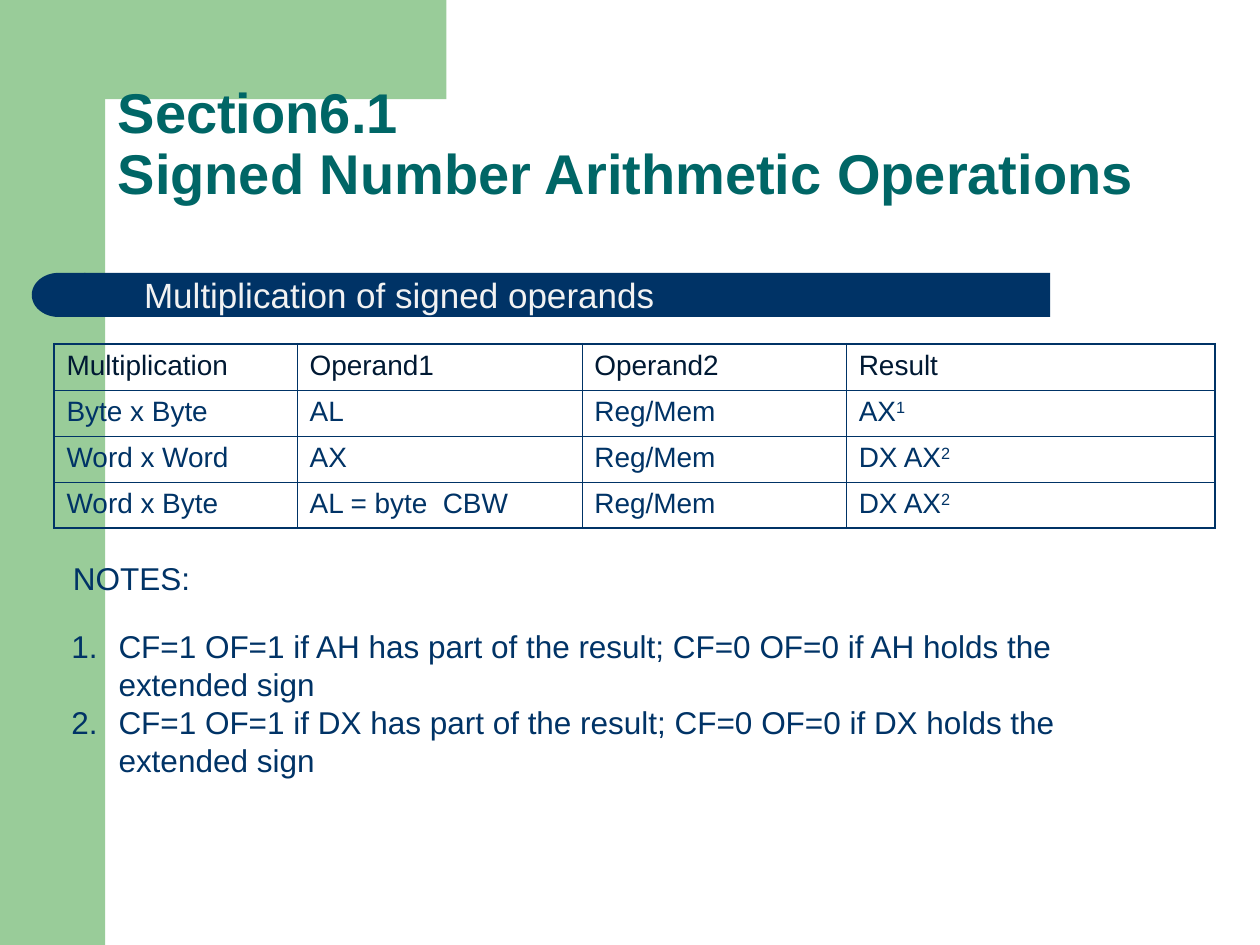
import math
from lxml import etree
from pptx import Presentation
from pptx import util as u
from pptx.dml.color import RGBColor
from pptx.enum import shapes, text
from pptx.oxml.ns import qn

GREEN = RGBColor(0x99, 0xCC, 0x99)
NAVY = RGBColor(0x00, 0x33, 0x66)
DARK_NAVY = RGBColor(0x00, 0x19, 0x33)
TEAL = RGBColor(0x00, 0x66, 0x66)
PALE = RGBColor(0xF2, 0xF2, 0xF2)


def add_run(paragraph, words, size, color, bold=False):
    run = paragraph.add_run()
    run.text = words
    run.font.name = "Arial"
    run.font.size = u.Pt(size)
    run.font.bold = bold
    run.font.color.rgb = color
    return run


def paint(shape, color):
    shape.shadow.inherit = False
    shape.fill.solid()
    shape.fill.fore_color.rgb = color
    shape.line.fill.background()


presentation = Presentation()
presentation.slide_width = u.Cm(25.4)
presentation.slide_height = u.Cm(19.05)
slide = presentation.slides.add_slide(presentation.slide_layouts[1])

side_band = slide.shapes.add_shape(
    shapes.MSO_SHAPE.RECTANGLE, 0, 0, u.Cm(2.12), presentation.slide_height)
paint(side_band, GREEN)

radius = 0.84
curve = [(2.96 - radius * math.sin(angle), 2.96 - radius * math.cos(angle))
         for angle in (math.radians(step) for step in range(0, 91, 6))]
builder = slide.shapes.build_freeform(8.89, 0, scale=u.Cm(1))
builder.add_line_segments(
    [(8.89, 2.12)] + curve + [(2.12, 3.25), (1.27, 3.25), (1.27, 0)], close=True)
paint(builder.convert_to_shape(), GREEN)

bar = slide.shapes.add_shape(
    shapes.MSO_SHAPE.RECTANGLE, u.Cm(1.7), u.Cm(5.5), u.Cm(19.47), u.Cm(0.89))
paint(bar, NAVY)
bar_end = slide.shapes.add_shape(
    shapes.MSO_SHAPE.FLOWCHART_DELAY, u.Cm(0.64), u.Cm(5.5), u.Cm(1.08), u.Cm(0.89))
bar_end.rotation = 180
paint(bar_end, NAVY)

title = slide.shapes.title
body = slide.placeholders[1]
places = (
    (title, (2.12, 1.52, 21.62, 2.77), text.MSO_ANCHOR.BOTTOM, 0.9),
    (body, (1.7, 5.54, 21.36, 0.97), text.MSO_ANCHOR.TOP, 0.8),
)
for shape, place, anchor, spacing in places:
    shape.left, shape.top, shape.width, shape.height = map(u.Cm, place)
    shape.element.getparent().append(shape.element)
    shape.text_frame.auto_size = text.MSO_AUTO_SIZE.NONE
    shape.text_frame.vertical_anchor = anchor
    paragraph = shape.text_frame.paragraphs[0]
    paragraph.alignment = text.PP_ALIGN.LEFT
    paragraph.line_spacing = spacing
    paragraph.space_before = u.Pt(0)

paragraph = title.text_frame.paragraphs[0]
add_run(paragraph, "Section6.1", 32, TEAL, bold=True)
paragraph.add_line_break()
add_run(paragraph, "Signed Number Arithmetic Operations", 32, TEAL, bold=True)

paragraph = body.text_frame.paragraphs[0]
properties = paragraph._p.get_or_add_pPr()
properties.set("marL", str(u.Cm(0.95)))
properties.set("indent", "0")
etree.SubElement(properties, qn("a:buNone"))
add_run(paragraph, "Multiplication of signed operands", 20, PALE)

rows = (
    ("Multiplication", "Operand1", "Operand2", "Result", ""),
    ("Byte x Byte", "AL", "Reg/Mem", "AX", "1"),
    ("Word x Word", "AX", "Reg/Mem", "DX AX", "2"),
    ("Word x Byte", "AL = byte  CBW", "Reg/Mem", "DX AX", "2"),
)
widths = (4.9, 5.74, 5.33, 7.43)
row_height = 0.93
table = slide.shapes.add_table(
    len(rows), len(widths), u.Cm(1.09), u.Cm(6.93),
    u.Cm(sum(widths)), u.Cm(row_height * len(rows))).table
table.first_row = False
table.horz_banding = False
for column, width in zip(table.columns, widths):
    column.width = u.Cm(width)
for row_index, (*labels, note) in enumerate(rows):
    table.rows[row_index].height = u.Cm(row_height)
    color = NAVY if row_index else DARK_NAVY
    for column_index, label in enumerate(labels):
        cell = table.cell(row_index, column_index)
        last_column = column_index == len(widths) - 1
        paragraph = cell.text_frame.paragraphs[0]
        add_run(paragraph, label, 16, color)
        if last_column and note:
            superscript = add_run(paragraph, note, 16, color)
            superscript._r.get_or_add_rPr().set("baseline", "30000")
        outer_sides = {"lnL": column_index == 0, "lnR": last_column,
                       "lnT": row_index == 0, "lnB": row_index == len(rows) - 1}
        for side, outer in outer_sides.items():
            border = etree.SubElement(cell._tc.get_or_add_tcPr(), qn("a:" + side))
            border.set("w", str(u.Pt(1.08 if outer else 0.45)))
            line_fill = etree.SubElement(border, qn("a:solidFill"))
            etree.SubElement(line_fill, qn("a:srgbClr")).set("val", str(NAVY))
        cell.fill.background()

notes = slide.shapes.add_textbox(u.Cm(1.19), u.Cm(12.52), u.Cm(23.01), u.Cm(3.3))
notes.text_frame.word_wrap = True
for index, register in enumerate(("AH", "DX")):
    paragraph = (notes.text_frame.add_paragraph() if index
                 else notes.text_frame.paragraphs[0])
    properties = paragraph._p.get_or_add_pPr()
    properties.set("marL", str(u.Cm(0.95)))
    properties.set("indent", str(-u.Cm(0.95)))
    bullet_color = etree.SubElement(properties, qn("a:buClr"))
    etree.SubElement(bullet_color, qn("a:srgbClr")).set("val", str(NAVY))
    etree.SubElement(properties, qn("a:buFont")).set("typeface", "Arial")
    etree.SubElement(properties, qn("a:buAutoNum")).set("type", "arabicPeriod")
    add_run(paragraph, f"CF=1 OF=1 if {register} has part of the result; "
            f"CF=0 OF=0 if {register} holds the extended sign", 18, NAVY)

heading = slide.shapes.add_textbox(u.Cm(1.22), u.Cm(11.15), u.Cm(2.87), u.Cm(1.02))
heading.text_frame.word_wrap = False
add_run(heading.text_frame.paragraphs[0], "NOTES:", 18, NAVY)

presentation.save("out.pptx")
